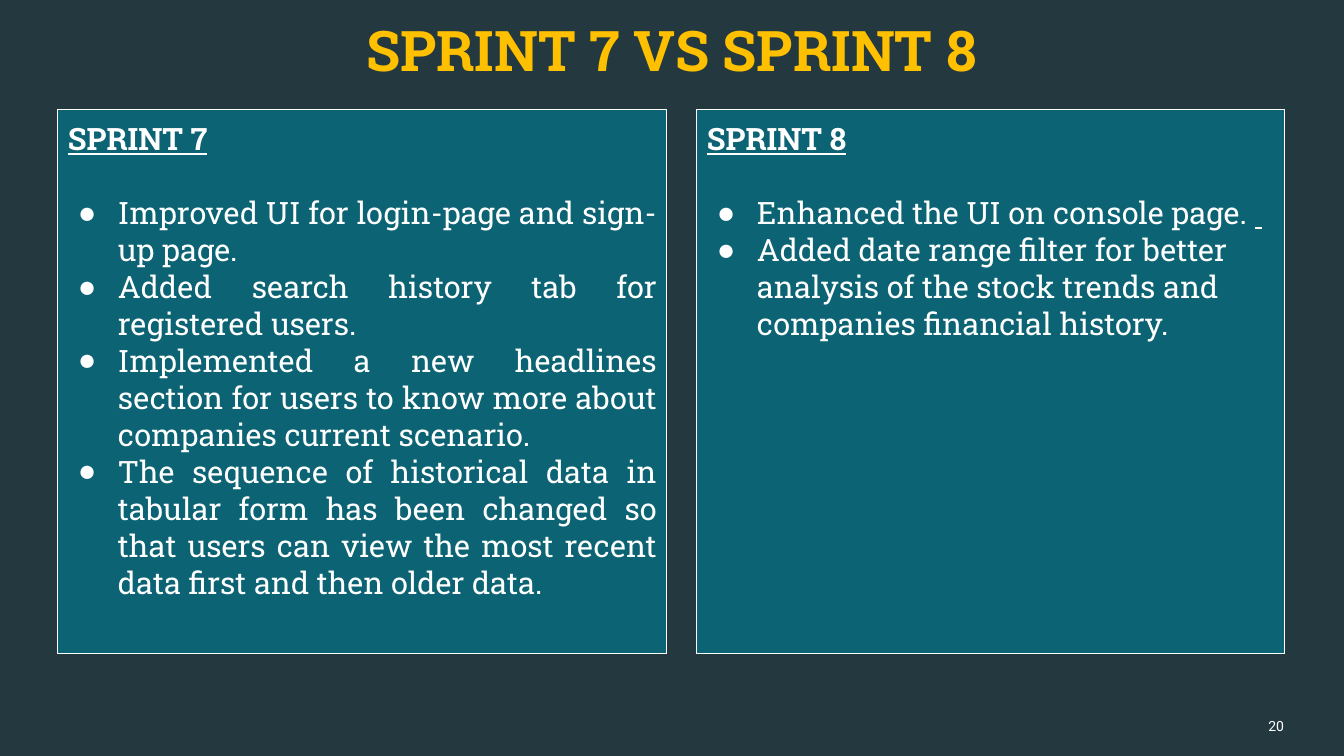
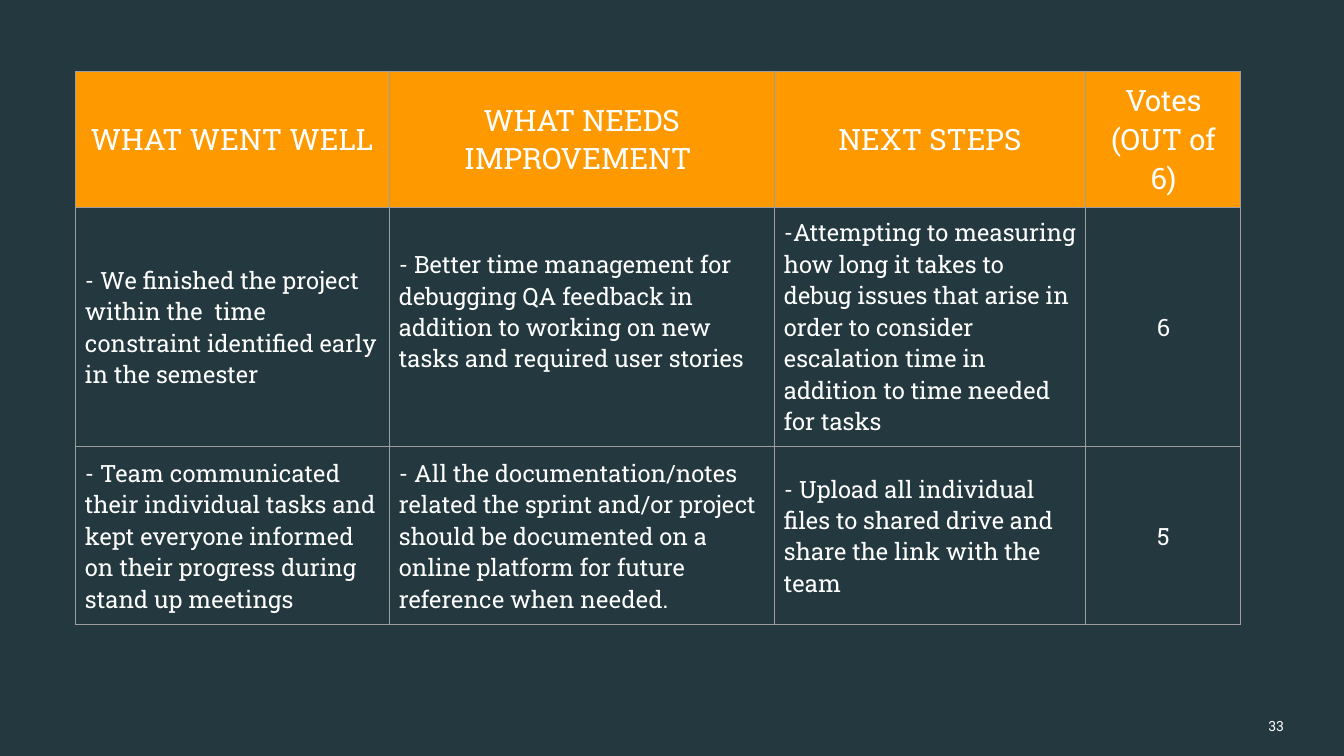
from dataclasses import dataclass

from lxml.etree import SubElement
from pptx import Presentation
from pptx.dml.color import RGBColor as RGB
from pptx.enum.shapes import MSO_SHAPE as SHAPE
from pptx.enum.text import MSO_ANCHOR as ANCHOR, PP_ALIGN as ALIGN
from pptx.oxml.ns import qn
from pptx.util import Pt

PX = 914400 / 100.8  # EMU in one px


@dataclass(frozen=True)
class Theme:
    background: str = "24393F"
    panel: str = "0B6374"
    title: str = "FFC000"
    header: str = "FF9900"
    border: str = "9E9E9E"
    text: str = "FFFFFF"
    slab: str = "Roboto Slab"
    sans: str = "Roboto"
    bullet: str = "Arial"
    title_size: int = 40
    panel_size: int = 22
    header_size: int = 21
    cell_size: int = 17
    number_size: int = 10
    line_width: float = 0.75
    heading_gap: float = 26.5
    padding: int = 10


theme = Theme()


def px(*lengths):
    return [round(length * PX) for length in lengths]


def add_run(paragraph, text, size, color=theme.text, face=theme.slab, strong=False):
    run = paragraph.add_run()
    run.text = text
    run.font.name = face
    run.font.size = Pt(size)
    run.font.color.rgb = RGB.from_string(color)
    run.font.bold = strong
    return run


# Deck and shared background
deck = Presentation()
deck.slide_width, deck.slide_height = px(1344, 756)
backdrop = deck.slide_master.background.fill
backdrop.solid()
backdrop.fore_color.rgb = RGB.from_string(theme.background)
blank = deck.slide_layouts[6]
sprints_slide, retro_slide = [deck.slides.add_slide(blank) for _ in range(2)]

# Slide title and page numbers
labels = [
    (sprints_slide, (30, 13, 1283, 73), ALIGN.CENTER,
     ("SPRINT 7 VS SPRINT 8", theme.title_size, theme.title, theme.slab, True)),
]
for slide, number in ((sprints_slide, "20"), (retro_slide, "33")):
    labels.append((slide, (1041, 706, 243, 40), ALIGN.RIGHT,
                   (number, theme.number_size, theme.text, theme.sans)))

for slide, box, align, wording in labels:
    frame = slide.shapes.add_textbox(*px(*box)).text_frame
    frame.word_wrap = True
    frame.vertical_anchor = ANCHOR.MIDDLE
    frame.margin_left = frame.margin_right = frame.margin_top = frame.margin_bottom = 0
    frame.paragraphs[0].alignment = align
    add_run(frame.paragraphs[0], *wording)

# Sprint panels: left, width, heading, bullet alignment, bullets
sprints = [
    (58, 609, "SPRINT 7", ALIGN.JUSTIFY, [
        "Improved UI for login-page and sign-up page.",
        "Added search history tab for registered users.",
        "Implemented a new headlines section for users to know more about "
        "companies current scenario.",
        "The sequence of historical data in tabular form has been changed so that "
        "users can view the most recent data first and then older data.",
    ]),
    (697, 588, "SPRINT 8", ALIGN.LEFT, [
        "Enhanced the UI on console page. ",
        "Added date range filter for better analysis of the stock trends and "
        "companies financial history.",
    ]),
]
bullet_indent, bullet_hang = px(50, -40)
padding, = px(theme.padding)

for left, width, heading, align, bullets in sprints:
    panel = sprints_slide.shapes.add_shape(SHAPE.RECTANGLE, *px(left, 110, width, 544))
    panel.shadow.inherit = False
    panel.fill.solid()
    panel.fill.fore_color.rgb = RGB.from_string(theme.panel)
    panel.line.color.rgb = RGB.from_string(theme.text)
    panel.line.width = Pt(theme.line_width)
    frame = panel.text_frame
    frame.word_wrap = True
    frame.vertical_anchor = ANCHOR.TOP
    frame.margin_left = frame.margin_right = padding
    frame.margin_top = frame.margin_bottom = padding

    heading_line = frame.paragraphs[0]
    heading_line.alignment = ALIGN.LEFT
    heading_line.space_after = Pt(theme.heading_gap)
    add_run(heading_line, heading, theme.panel_size, strong=True).font.underline = True

    for bullet in bullets:
        line = frame.add_paragraph()
        line.alignment = align
        props = line._p.get_or_add_pPr()
        props.set("marL", str(bullet_indent))
        props.set("indent", str(bullet_hang))
        SubElement(SubElement(props, qn("a:buClr")), qn("a:srgbClr"), val=theme.text)
        SubElement(props, qn("a:buFont"), typeface=theme.bullet)
        SubElement(props, qn("a:buChar"), char="●")
        add_run(line, bullet, theme.panel_size)
        if bullet.endswith(" "):  # underlined mark after the sentence
            add_run(line, " ", theme.panel_size, strong=True).font.underline = True

# Retrospective table
columns = [314, 385, 312, 155]
rows = [136, 240, 178]
retro = [
    ["WHAT WENT WELL", "WHAT NEEDS IMPROVEMENT ", "NEXT STEPS", "Votes\n(OUT of 6)"],
    ["- We finished the project within the  time constraint identified early "
     "in the semester",
     "- Better time management for debugging QA feedback in addition to working "
     "on new tasks and required user stories",
     "-Attempting to measuring how long it takes to debug issues that arise in "
     "order to consider escalation time in addition to time needed for tasks",
     "6"],
    ["- Team communicated their individual tasks and kept everyone informed on "
     "their progress during stand up meetings",
     "- All the documentation/notes related the sprint and/or project should be "
     "documented on a online platform for future reference when needed.",
     "- Upload all individual files to shared drive and share the link with the team",
     "5"],
]
table = retro_slide.shapes.add_table(
    len(rows), len(columns), *px(75, 71, sum(columns), sum(rows))).table
table.first_row = table.horz_banding = False
for column, width in zip(table.columns, px(*columns)):
    column.width = width
for row, height in zip(table.rows, px(*rows)):
    row.height = height

for r, entries in enumerate(retro):
    for c, entry in enumerate(entries):
        is_header = r == 0
        is_vote = c == len(columns) - 1
        cell = table.cell(r, c)
        cell.vertical_anchor = ANCHOR.MIDDLE
        cell.margin_left = cell.margin_right = padding
        cell.margin_top = cell.margin_bottom = padding
        # Borders come before the fill in the cell properties
        for side in ("a:lnL", "a:lnR", "a:lnT", "a:lnB"):
            edge = SubElement(cell._tc.get_or_add_tcPr(), qn(side),
                              w=str(Pt(theme.line_width)))
            SubElement(SubElement(edge, qn("a:solidFill")), qn("a:srgbClr"),
                       val=theme.border)
        if is_header:
            cell.fill.solid()
            cell.fill.fore_color.rgb = RGB.from_string(theme.header)
        else:
            cell.fill.background()
        for i, wording in enumerate(entry.split("\n")):
            frame = cell.text_frame
            line = frame.add_paragraph() if i else frame.paragraphs[0]
            line.alignment = ALIGN.CENTER if is_header or is_vote else ALIGN.LEFT
            add_run(line, wording, theme.header_size if is_header else theme.cell_size)

# The time management note sits one line above the middle of its two-line slack
time_note = table.cell(1, 1)
time_note.margin_bottom, = px(theme.padding + 31)

deck.save("out.pptx")
